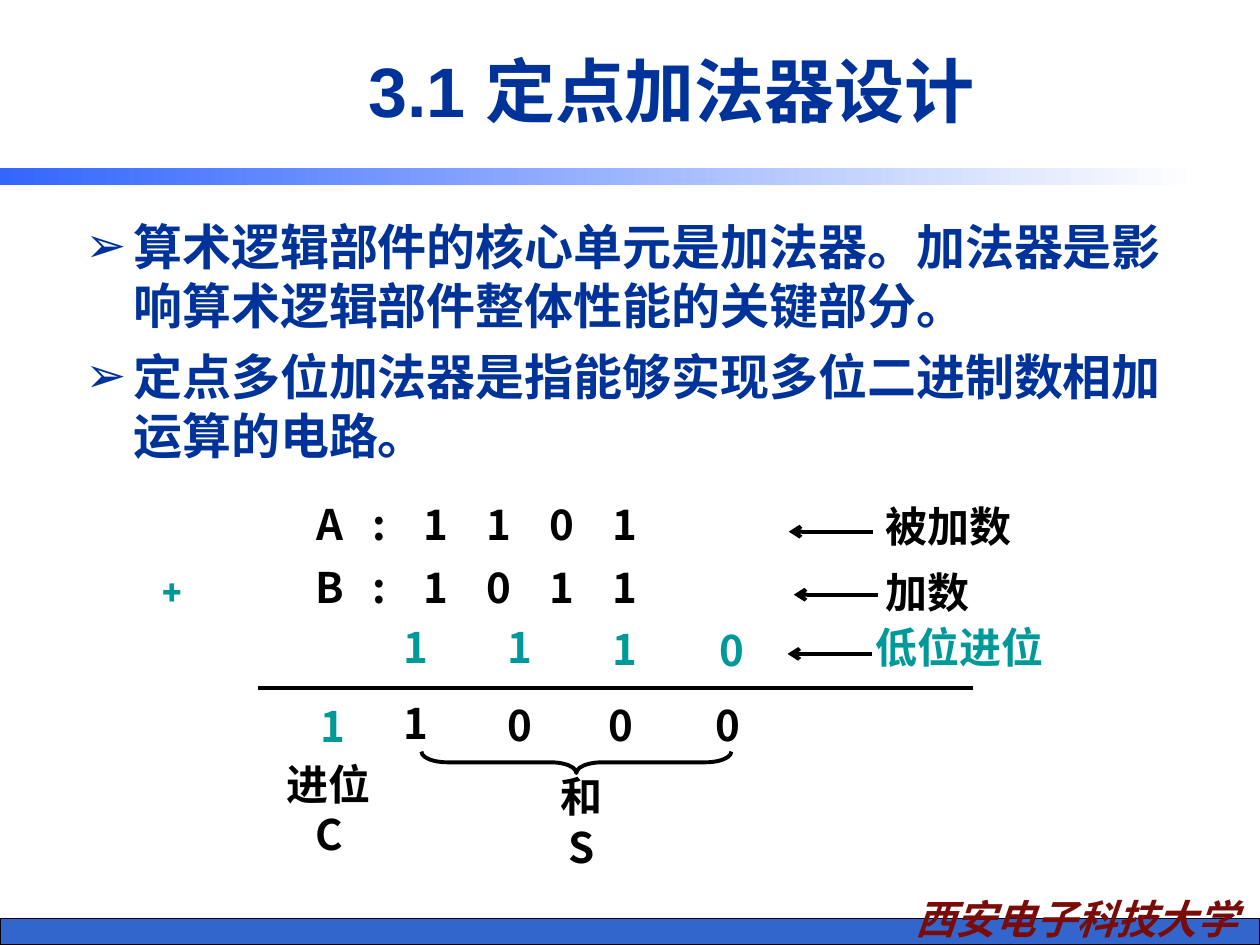
from lxml import etree
from pptx import Presentation
from pptx import util as u
from pptx.dml.color import RGBColor
from pptx.enum import shapes, text
from pptx.oxml.ns import qn

COLUMNS, ROWS = 100, 75
CELL = u.Inches(0.1)
BLACK = RGBColor(0x00, 0x00, 0x00)
WHITE = RGBColor(0xFF, 0xFF, 0xFF)
NAVY = RGBColor(0x00, 0x33, 0x99)
TEAL = RGBColor(0x00, 0x99, 0x99)
MAROON = RGBColor(0x79, 0x0C, 0x09)
FOOTER_BLUE = RGBColor(0x33, 0x66, 0xCC)
BAND_BLUE = RGBColor(0x33, 0x66, 0xFF)
CJK = "Noto Sans CJK SC"
CENTER = text.PP_ALIGN.CENTER


def cells(*lengths):
    """Turn grid lengths into slide units."""
    return [round(length * CELL) for length in lengths]


def style_run(run, size, color, font=CJK, italic=False):
    """Format one bold run, with the CJK face for Chinese characters."""
    run.font.size = u.Pt(size)
    run.font.bold = True
    run.font.italic = italic
    run.font.name = font
    run.font.color.rgb = color
    east_asian = etree.SubElement(run.font._element, qn("a:ea"))
    east_asian.set("typeface", CJK)


def add_text(slide, box, content, size=24, color=BLACK, align=CENTER,
             wrap=False, anchor=text.MSO_ANCHOR.TOP, **look):
    """Add a text box and return its text frame."""
    frame = slide.shapes.add_textbox(*cells(*box)).text_frame
    frame.word_wrap = wrap
    frame.vertical_anchor = anchor
    frame.text = content
    for paragraph in frame.paragraphs:
        paragraph.alignment = align
        for run in paragraph.runs:
            style_run(run, size, color, **look)
    return frame


def add_bullets(slide, box, items):
    """Add the arrow-bulleted statements."""
    frame = add_text(slide, box, "\n".join(items), 28, NAVY,
                     text.PP_ALIGN.LEFT, True)
    for index, paragraph in enumerate(frame.paragraphs):
        if index:
            paragraph.space_before = u.Pt(7)
        properties = paragraph._p.get_or_add_pPr()
        properties.set("marL", str(u.Inches(0.38)))
        properties.set("indent", str(-u.Inches(0.38)))
        bullet_color = etree.SubElement(properties, qn("a:buClr"))
        etree.SubElement(bullet_color, qn("a:srgbClr")).set("val", str(NAVY))
        etree.SubElement(properties, qn("a:buFont")).set("typeface", "Arial")
        etree.SubElement(properties, qn("a:buChar")).set("char", "➢")


def add_operand(slide, top, name, digits):
    """Add a binary operand whose characters sit on centred tab stops."""
    content = "".join("\t" + mark for mark in (name, ":", *digits))
    frame = add_text(slide, (11.8, top, 52.1, 5), content,
                     align=text.PP_ALIGN.LEFT, wrap=True)
    tabs = etree.SubElement(frame.paragraphs[0]._p.get_or_add_pPr(), qn("a:tabLst"))
    stops = [13.4, 17.3] + [21.8 + 5 * index for index in range(len(digits))]
    for position in cells(*stops):
        etree.SubElement(tabs, qn("a:tab"), pos=str(position), algn="ctr")


def add_line(slide, left, right, row, arrow=False):
    """Add a horizontal line, with an arrowhead on its left if asked."""
    line = slide.shapes.add_connector(
        shapes.MSO_CONNECTOR.STRAIGHT, *cells(left, row, right, row))
    line.line.color.rgb = BLACK
    line.line.width = u.Pt(2.25)
    if arrow:
        etree.SubElement(line.line._get_or_add_ln(), qn("a:headEnd"), type="arrow")
    etree.SubElement(line._element.spPr, qn("a:effectLst"))


def add_shape(slide, kind, box):
    """Add a preset shape without a shadow."""
    shape = slide.shapes.add_shape(kind, *cells(*box))
    shape.shadow.inherit = False
    return shape


def add_frame(slide):
    """Add the footer strip, the school name and the title band."""
    strip = add_shape(slide, shapes.MSO_SHAPE.RECTANGLE, (0, 72.9, COLUMNS, 2.1))
    strip.fill.solid()
    strip.fill.fore_color.rgb = FOOTER_BLUE
    strip.line.color.rgb = BLACK
    strip.line.width = u.Pt(0.75)
    add_text(slide, (69.7, 70.5, 31.5, 4.9), "西安电子科技大学", 23, MAROON,
             wrap=True, italic=True)
    band = add_shape(slide, shapes.MSO_SHAPE.RECTANGLE, (0, 13.3, 95.1, 1.4))
    band.fill.gradient()
    band.fill.gradient_angle = 0
    for stop, color in zip(band.fill.gradient_stops, (BAND_BLUE, WHITE)):
        stop.color.rgb = color
    band.line.fill.background()


def add_brace(slide):
    """Add the brace that gathers the sum digits."""
    brace = add_shape(slide, shapes.MSO_SHAPE.LEFT_BRACE, (44.9, 48.2, 1.7, 24.6))
    brace.rotation = 270
    brace.adjustments[0] = 1.2
    brace.fill.background()
    brace.line.color.rgb = BLACK
    brace.line.width = u.Pt(2.25)


def add_addition(slide):
    """Add the worked binary addition with its labels."""
    add_operand(slide, 39.1, "A", "1101")
    add_operand(slide, 44.1, "B", "1011")
    add_text(slide, (11.9, 44.7, 4.2, 4.4), "+", 20, TEAL,
             text.PP_ALIGN.LEFT, True, font="Roboto")
    for left, row in ((62.6, 42.2), (63, 47.2), (62.5, 51.9)):
        add_line(slide, left, left + 6.7, row, arrow=True)
    add_line(slide, 20.5, 77.2, 54.6)
    digits = (
        ("1", 31, 48.8, TEAL), ("1", 39.3, 48.8, TEAL),
        ("1", 47.6, 49, TEAL), ("0", 56.1, 49.1, TEAL),
        ("1", 24.4, 55.1, TEAL), ("1", 31, 54.9, BLACK),
        ("0", 39.3, 55, BLACK), ("0", 47.3, 55, BLACK), ("0", 55.8, 55, BLACK),
    )
    for digit, left, top, color in digits:
        add_text(slide, (left, top, 4, 5), digit, color=color)
    labels = (
        ("被加数", 69.3, 39.2, 12, BLACK), ("加数", 69.1, 44.5, 9, BLACK),
        ("低位进位", 68.5, 48.8, 15.3, TEAL),
        ("和\vS", 42.1, 60.7, 8.1, BLACK), ("进位\vC", 20.4, 59.7, 11.4, BLACK),
    )
    for label, left, top, width, color in labels:
        add_text(slide, (left, top, width, 5), label, color=color)
    add_brace(slide)


def main():
    """Build and save the slide on fixed-point adder design."""
    presentation = Presentation()
    presentation.slide_width, presentation.slide_height = cells(COLUMNS, ROWS)
    slide = presentation.slides.add_slide(presentation.slide_layouts[6])
    add_frame(slide)
    add_text(slide, (13.3, 1.7, 80, 10.8), "3.1 定点加法器设计", 40, NAVY,
             wrap=True, anchor=text.MSO_ANCHOR.MIDDLE, font="Arial")
    add_bullets(slide, (5.8, 16.7, 87.5, 49.5), (
        "算术逻辑部件的核心单元是加法器。加法器是影响算术逻辑部件整体性能的关键部分。",
        "定点多位加法器是指能够实现多位二进制数相加运算的电路。",
    ))
    add_addition(slide)
    presentation.save("out.pptx")


if __name__ == "__main__":
    main()
